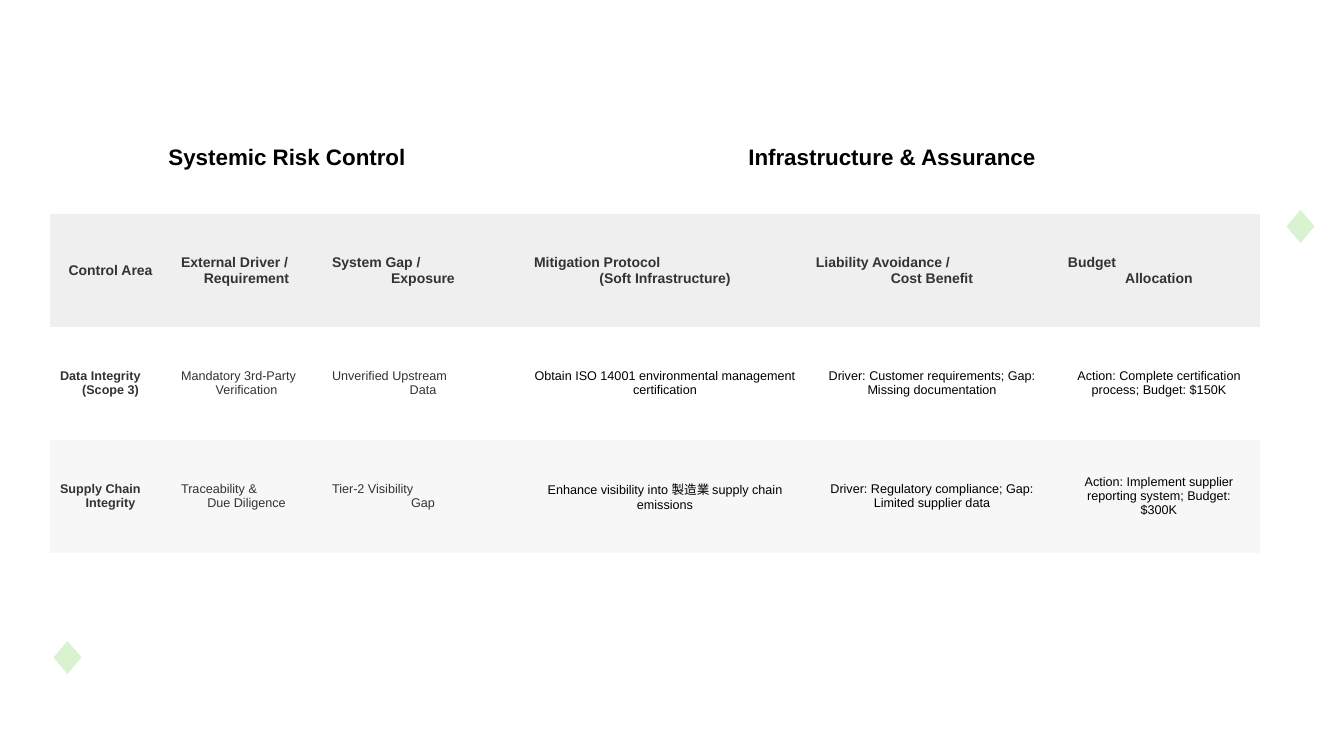
from lxml import etree
from pptx import Presentation
from pptx import util as u
from pptx.dml.color import RGBColor
from pptx.enum import shapes, text
from pptx.oxml import ns

COLORS = {
    "white": "FFFFFF", "black": "000000", "ink": "333333",
    "header": "EFEFEF", "band": "F7F7F7", "green": "D9F2D0",
}
GROUPS = ["Systemic Risk Control", "Infrastructure & Assurance"]
HEADERS = [
    "Control Area", "External Driver /\nRequirement", "System Gap /\nExposure",
    "Mitigation Protocol\n(Soft Infrastructure)",
    "Liability Avoidance /\nCost Benefit", "Budget\nAllocation",
]
CONTROLS = [
    ["Data Integrity\n(Scope 3)", "Mandatory 3rd-Party\nVerification",
     "Unverified Upstream\nData",
     "Obtain ISO 14001 environmental management certification",
     "Driver: Customer requirements; Gap: Missing documentation",
     "Action: Complete certification process; Budget: $150K"],
    ["Supply Chain\nIntegrity", "Traceability &\nDue Diligence",
     "Tier-2 Visibility\nGap",
     "Enhance visibility into 製造業 supply chain emissions",
     "Driver: Regulatory compliance; Gap: Limited supplier data",
     "Action: Implement supplier reporting system; Budget: $300K"],
]
ROW_FILLS = ["white", "header", "white", "band"]
COLUMN_WIDTHS = [121, 151, 202, 282, 252, 202]
GROUP_SPAN = 3
TABLE_LEFT, TABLE_TOP, ROW_HEIGHT = 50, 101, 113
ARC_BOX = (1099, -341, 403, 501)
ARC_ANGLES = (152.05, 215.37)
DIAMONDS = [(1285, 208, 31, 37), (52, 639, 31, 37)]
PLAIN_TABLE_STYLE = "{2D5ABB26-0587-4C30-8999-92F81FD0307C}"


def px(value):
    return u.Emu(round(value * 914400 / 100.8))


def rgb(name):
    return RGBColor.from_string(COLORS[name])


def add_shape(slide, kind, box, line_color, line_width):
    shape = slide.shapes.add_shape(kind, *map(px, box))
    shape.shadow.inherit = False
    shape.line.color.rgb = rgb(line_color)
    shape.line.width = u.Pt(line_width)
    return shape


def add_decoration(slide):
    arc = add_shape(slide, shapes.MSO_SHAPE.ARC, ARC_BOX, "green", 46.25)
    arc.fill.background()
    arc.rotation = 151.3
    for index, angle in enumerate(ARC_ANGLES):
        arc.adjustments[index] = angle * 0.6
    line_color = arc.line.fill._xPr.find(".//" + ns.qn("a:srgbClr"))
    etree.SubElement(line_color, ns.qn("a:alpha"), val="60000")
    for box in DIAMONDS:
        diamond = add_shape(slide, shapes.MSO_SHAPE.DIAMOND, box, "white", 1.5)
        diamond.fill.solid()
        diamond.fill.fore_color.rgb = rgb("green")


def write_cell(cell, words, size, color, bold):
    cell.vertical_anchor = text.MSO_ANCHOR.MIDDLE
    cell.text = words
    paragraphs = cell.text_frame.paragraphs
    for paragraph in paragraphs:
        last = paragraph is paragraphs[-1]
        paragraph.alignment = text.PP_ALIGN.CENTER if last else text.PP_ALIGN.LEFT
        paragraph.font.name = "Arial"
        paragraph.font.size = u.Pt(size)
        paragraph.font.bold = bold
        paragraph.font.color.rgb = rgb(color)


def add_control_table(slide):
    row_count, column_count = len(ROW_FILLS), len(COLUMN_WIDTHS)
    frame = slide.shapes.add_table(
        row_count, column_count, px(TABLE_LEFT), px(TABLE_TOP),
        px(sum(COLUMN_WIDTHS)), px(ROW_HEIGHT * row_count))
    table = frame.table
    table.first_row = table.horz_banding = False
    table._tbl.tblPr.find(ns.qn("a:tableStyleId")).text = PLAIN_TABLE_STYLE
    for column, width in zip(table.columns, COLUMN_WIDTHS):
        column.width = px(width)
    for row, fill in zip(table.rows, ROW_FILLS):
        row.height = px(ROW_HEIGHT)
        for cell in row.cells:
            cell.fill.solid()
            cell.fill.fore_color.rgb = rgb(fill)

    for index, group in enumerate(GROUPS):
        first = index * GROUP_SPAN
        table.cell(0, first).merge(table.cell(0, first + GROUP_SPAN - 1))
        write_cell(table.cell(0, first), group, 16, "black", True)
    for column, header in enumerate(HEADERS):
        write_cell(table.cell(1, column), header, 10, "ink", True)
    for row, control in enumerate(CONTROLS, 2):
        for column, words in enumerate(control):
            color = "ink" if column < GROUP_SPAN else "black"
            write_cell(table.cell(row, column), words, 9, color, column == 0)


def main():
    presentation = Presentation()
    presentation.slide_width, presentation.slide_height = px(1344), px(756)
    slide = presentation.slides.add_slide(presentation.slide_layouts[6])
    slide.background.fill.solid()
    slide.background.fill.fore_color.rgb = rgb("white")
    add_decoration(slide)
    add_control_table(slide)
    presentation.save("out.pptx")


if __name__ == "__main__":
    main()
